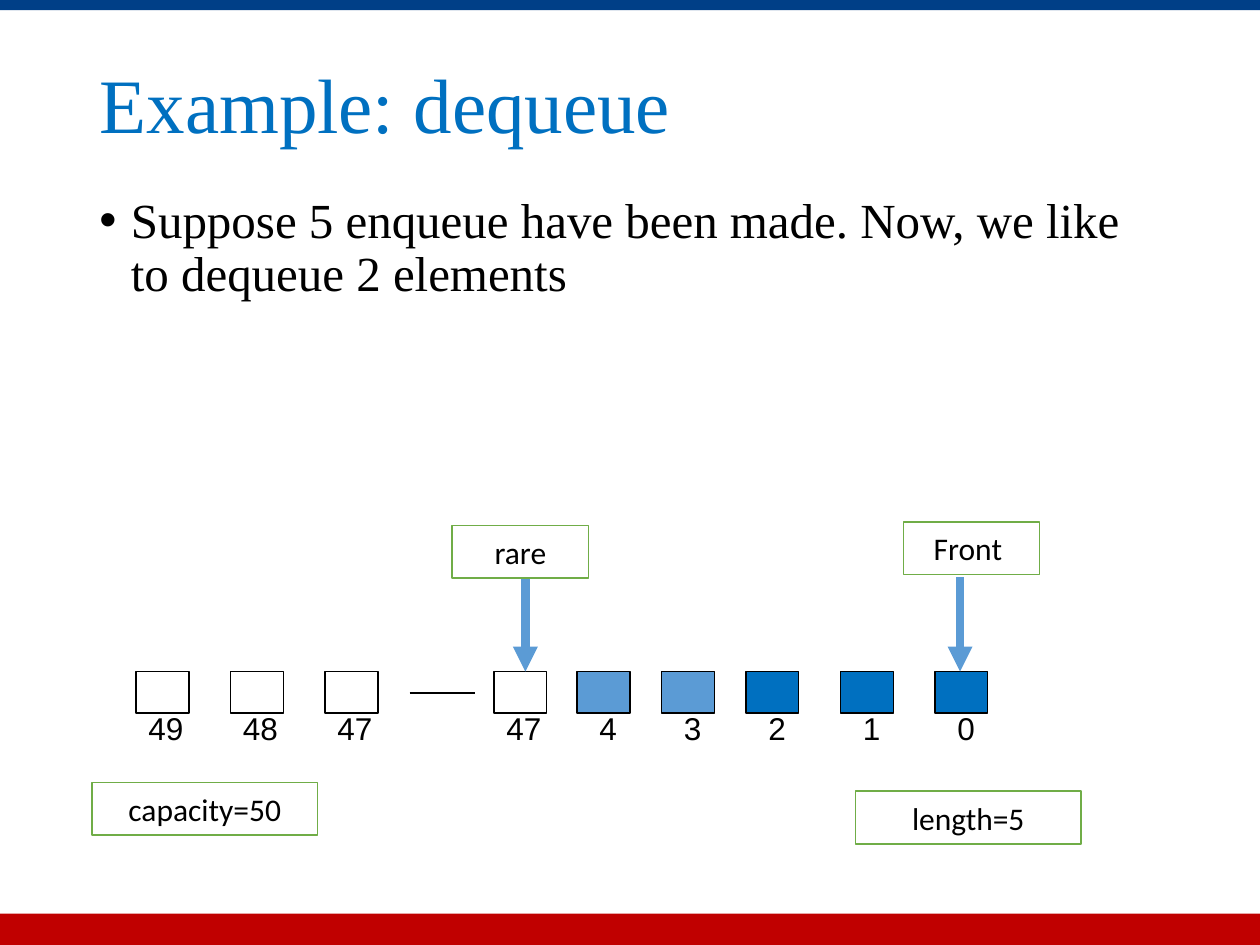
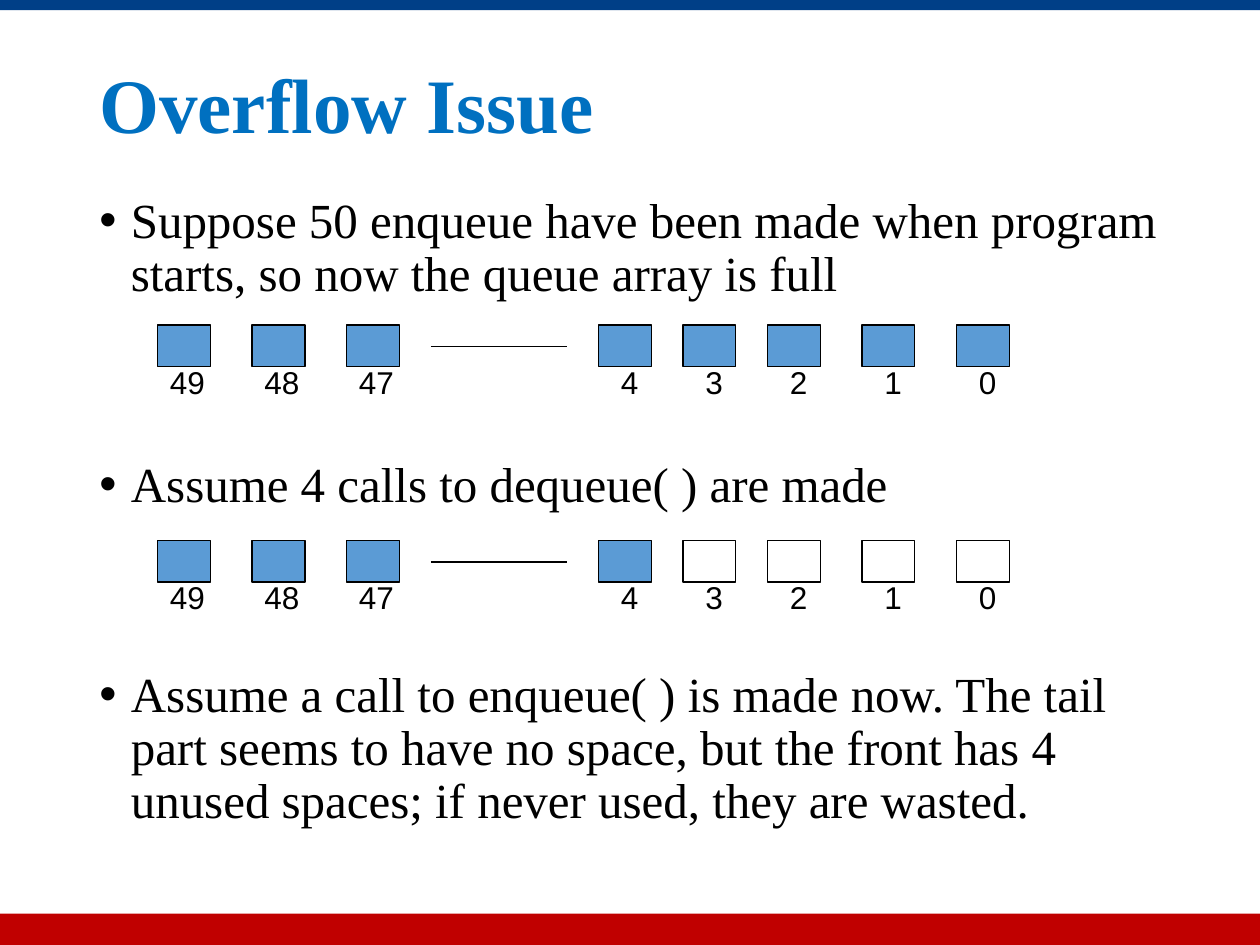
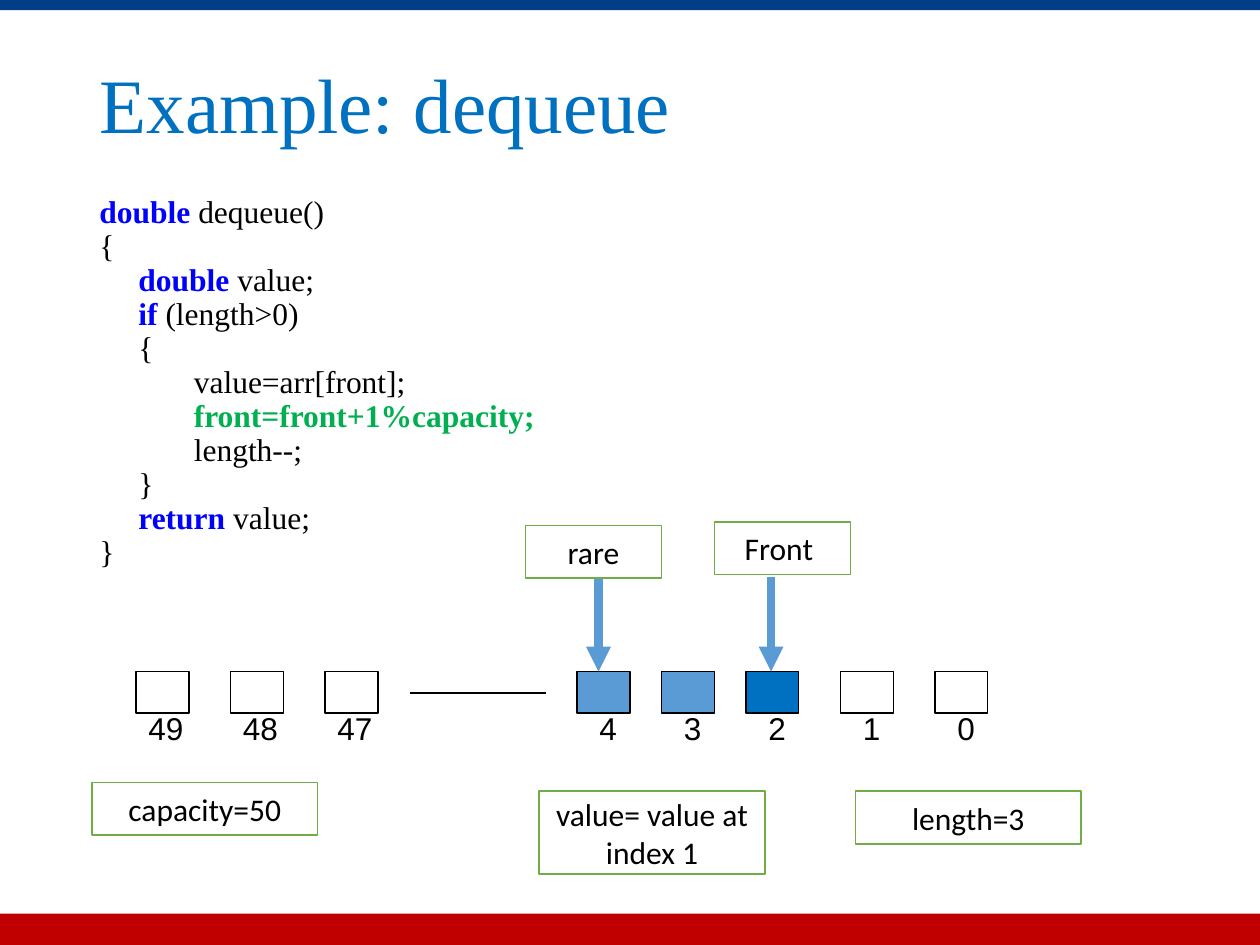
from lxml import etree
from pptx import Presentation
from pptx.dml.color import RGBColor
from pptx.enum.shapes import MSO_CONNECTOR, MSO_SHAPE, PP_PLACEHOLDER
from pptx.enum.text import MSO_ANCHOR, PP_ALIGN
from pptx.oxml.ns import qn
from pptx.util import Inches, Pt

RECTANGLE = MSO_SHAPE.RECTANGLE
STRAIGHT = MSO_CONNECTOR.STRAIGHT
TITLE = PP_PLACEHOLDER.TITLE
MIDDLE = MSO_ANCHOR.MIDDLE
LEFT, CENTER = PP_ALIGN.LEFT, PP_ALIGN.CENTER

BLACK = RGBColor(0x00, 0x00, 0x00)
WHITE = RGBColor(0xFF, 0xFF, 0xFF)
RED = RGBColor(0xC0, 0x00, 0x00)
NAVY = RGBColor(0x00, 0x3F, 0x87)
BLUE = RGBColor(0x00, 0x70, 0xC0)
LIGHT_BLUE = RGBColor(0x5B, 0x9B, 0xD5)
KEYWORD_BLUE = RGBColor(0x00, 0x00, 0xFF)
CODE_GREEN = RGBColor(0x00, 0xB0, 0x50)
BORDER_GREEN = RGBColor(0x70, 0xAD, 0x47)
SERIF = "Times New Roman"

INDEXES = ["49", "48", "47", "4", "3", "2", "1", "0"]
OFFSETS = [0, 0.75, 1.5, 3.5, 4.17, 4.84, 5.59, 6.34]
EXTRA_OFFSET = 2.84


def add_box(slide, left, top, width, height, fill, border, border_width):
    box = slide.shapes.add_shape(RECTANGLE, Inches(left), Inches(top), Inches(width), Inches(height))
    box.shadow.inherit = False
    if fill is None:
        box.fill.background()
    else:
        box.fill.solid()
        box.fill.fore_color.rgb = fill
    box.line.color.rgb = border
    box.line.width = Pt(border_width)
    return box


def add_line(slide, start_x, start_y, end_x, end_y, color, width):
    line = slide.shapes.add_connector(
        STRAIGHT, Inches(start_x), Inches(start_y), Inches(end_x), Inches(end_y))
    line.line.color.rgb = color
    line.line.width = Pt(width)
    etree.SubElement(line.element.spPr, qn("a:effectLst"))
    return line


prs = Presentation()
prs.slide_width, prs.slide_height = Inches(10), Inches(7.5)
layout = prs.slide_layouts[5]
for placeholder in list(layout.placeholders):
    if placeholder.placeholder_format.type != TITLE:
        layout.shapes.element.remove(placeholder.element)

slides, bodies = [], []
for heading, bold in [("Example: dequeue", False), ("Overflow Issue", True), ("Example: dequeue", False)]:
    slide = prs.slides.add_slide(layout)
    title = slide.shapes.title
    title.left, title.top, title.width, title.height = Inches(0.69), Inches(0.4), Inches(8.62), Inches(0.93)
    title.text_frame.text = heading
    title.text_frame.vertical_anchor = MIDDLE
    line = title.text_frame.paragraphs[0]
    line.alignment = LEFT
    line.line_spacing = 0.9
    font = line.runs[0].font
    font.name, font.size, font.bold = SERIF, Pt(44), bold
    font.color.rgb = BLUE
    body = slide.shapes.add_textbox(Inches(0.69), Inches(1.51), Inches(8.62), Inches(5.24)).text_frame
    body.word_wrap = True
    slides.append(slide)
    bodies.append(body)
dequeue_slide, overflow_slide, code_slide = slides

footer_band = add_box(dequeue_slide, 0, 7.25, 10, 0.25, RED, RED, 0)
outline = dequeue_slide.shapes.build_freeform(0, Inches(-0.17))
outline.add_line_segments(
    [(Inches(x), Inches(y)) for x, y in [(5.04, -0.11), (10, -0.17), (10, 0.08), (0, 0.08)]])
header_band = outline.convert_to_shape()
header_band.shadow.inherit = False
header_band.fill.solid()
header_band.fill.fore_color.rgb = NAVY
for band in (footer_band, header_band):
    band.line.fill.background()
    layout.shapes.element.append(band.element)

bullet_texts = [
    ["Suppose 5 enqueue have been made. Now, we like to dequeue 2 elements"],
    [
        "Suppose 50 enqueue have been made when program starts, so now the queue array is full",
        "Assume 4 calls to dequeue( ) are made",
        "Assume a call to enqueue( ) is made now. The tail part seems to have no space, "
        "but the front has 4 unused spaces; if never used, they are wasted.",
    ],
]
for body, texts in zip(bodies, bullet_texts):
    for number, text in enumerate(texts):
        point = body.add_paragraph() if number else body.paragraphs[0]
        point.text = text
        point.line_spacing = 0.9
        point.space_before = Pt(90 if number else 0)
        properties = point._p.get_or_add_pPr()
        properties.set("marL", str(Inches(0.25)))
        properties.set("indent", str(Inches(-0.25)))
        etree.SubElement(properties, qn("a:buFont"), typeface="Arial")
        etree.SubElement(properties, qn("a:buChar"), char="•")
        font = point.runs[0].font
        font.name, font.size = SERIF, Pt(28)
        font.color.rgb = BLACK

code_lines = [
    (0, [("double ", KEYWORD_BLUE), ("dequeue()", BLACK)]),
    (0, [("{", BLACK)]),
    (0.31, [("double ", KEYWORD_BLUE), ("value;", BLACK)]),
    (0.31, [("if ", KEYWORD_BLUE), ("(length>0)", BLACK)]),
    (0.31, [("{", BLACK)]),
    (0.75, [("value=arr[front];", BLACK)]),
    (0.75, [("front=front+1%capacity;", CODE_GREEN)]),
    (0.75, [("length--;", BLACK)]),
    (0.31, [("}", BLACK)]),
    (0.31, [("return ", KEYWORD_BLUE), ("value;", BLACK)]),
    (0, [("}", BLACK)]),
]
for number, (indent, tokens) in enumerate(code_lines):
    code_line = bodies[2].add_paragraph() if number else bodies[2].paragraphs[0]
    code_line.line_spacing = 0.9
    code_line._p.get_or_add_pPr().set("marL", str(Inches(indent)))
    for text, color in tokens:
        token = code_line.add_run()
        token.text = text
        token.font.name, token.font.size = SERIF, Pt(18)
        token.font.bold = color != BLACK
        token.font.color.rgb = color

base_cells = list(zip(INDEXES, OFFSETS))
extended_cells = base_cells + [("47", EXTRA_OFFSET)]
queues = [
    (dequeue_slide, 1.08, 5.33, 0.52, extended_cells,
     [None] * 3 + [LIGHT_BLUE] * 2 + [BLUE] * 3 + [None]),
    (overflow_slide, 1.25, 2.58, 1.08, base_cells, [LIGHT_BLUE] * 8),
    (overflow_slide, 1.25, 4.29, 1.08, base_cells, [LIGHT_BLUE] * 4 + [WHITE] * 4),
    (code_slide, 1.08, 5.33, 1.08, base_cells,
     [None] * 3 + [LIGHT_BLUE] * 2 + [BLUE] + [None] * 2),
]
for slide, left, top, gap_length, cells, fills in queues:
    add_line(slide, left + 2.17, top + 0.17, left + 2.17 + gap_length, top + 0.17, BLACK, 0.75)
    for (index, offset), fill in zip(cells, fills):
        cell_left = left + offset
        add_box(slide, cell_left, top, 0.42, 0.33, fill, BLACK, 0.75)
        shift, width = (0.08, 0.37) if len(index) == 1 else (0, 0.58)
        label = slide.shapes.add_textbox(
            Inches(cell_left + shift), Inches(top + 0.25), Inches(width), Inches(0.5)).text_frame
        label.word_wrap = True
        label.text = index
        font = label.paragraphs[0].runs[0].font
        font.name, font.size = "Arial", Pt(18)
        font.color.rgb = BLACK

for slide, arrow_xs in [(dequeue_slide, (7.62, 4.17)), (code_slide, (6.12, 4.75))]:
    for arrow_x in arrow_xs:
        arrow = add_line(slide, arrow_x, 4.58, arrow_x, 5.33, LIGHT_BLUE, 4.75)
        etree.SubElement(arrow.line._get_or_add_ln(), qn("a:tailEnd"), type="triangle")

callouts = [
    (dequeue_slide, "Front ", 7.17, 4.14, 1.08, 0.42),
    (dequeue_slide, "length=5", 6.79, 6.28, 1.79, 0.42),
    (dequeue_slide, "capacity=50", 0.73, 6.21, 1.79, 0.42),
    (dequeue_slide, "rare", 3.59, 4.17, 1.08, 0.42),
    (code_slide, "Front ", 5.67, 4.14, 1.08, 0.42),
    (code_slide, "length=3", 6.79, 6.28, 1.79, 0.42),
    (code_slide, "capacity=50", 0.73, 6.21, 1.79, 0.42),
    (code_slide, "rare", 4.17, 4.17, 1.08, 0.42),
    (code_slide, "value= value at index 1", 4.28, 6.28, 1.79, 0.66),
]
for slide, text, left, top, width, height in callouts:
    callout = add_box(slide, left, top, width, height, WHITE, BORDER_GREEN, 1).text_frame
    callout.word_wrap = True
    callout.vertical_anchor = MIDDLE
    callout.text = text
    callout.paragraphs[0].alignment = CENTER
    font = callout.paragraphs[0].runs[0].font
    font.name, font.size = "Calibri", Pt(18)
    font.color.rgb = BLACK

prs.save("out.pptx")
